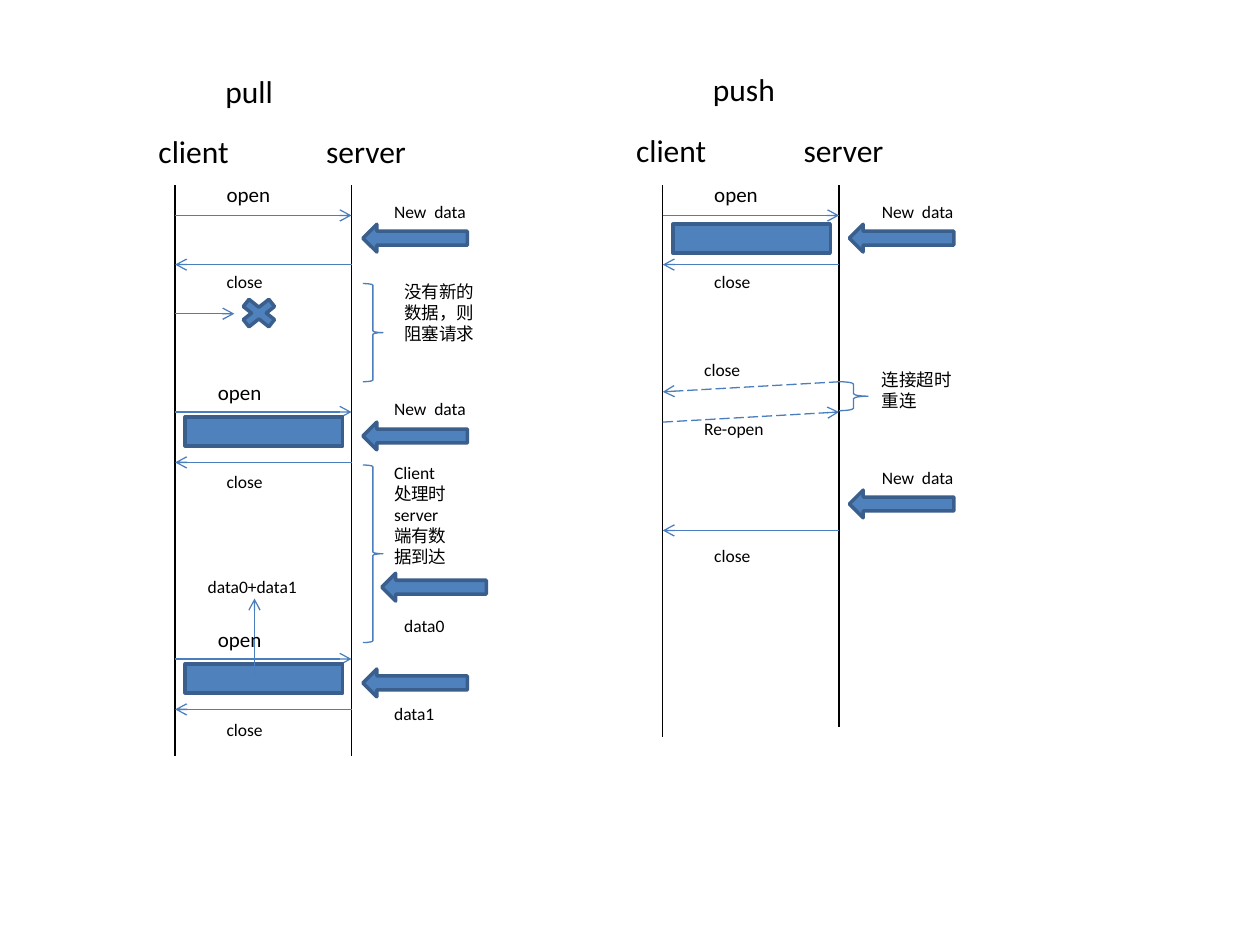
import pptx
import pptx.util
import pptx.dml.color
import pptx.oxml
import pptx.oxml.ns
from pptx.enum.dml import MSO_LINE
from pptx.enum.shapes import MSO_CONNECTOR, MSO_SHAPE
from pptx.enum.text import MSO_AUTO_SIZE, PP_ALIGN

Inches = pptx.util.Inches
SPAN = 1.4
BLACK, BLUE, FILL, EDGE = "000000", "4B7EBC", "4F81BD", "3A5F8C"

PANELS = [
    {
        "left": 1.39,
        "ends": (6, 6),
        "calls": [1.71, 3.27, 5.23],
        "replies": [2.1, 3.67, 5.63],
        "dashed": [],
        "short": [(0, 2.49, 0.47, 2.49), (0.63, 5.38, 0.63, 4.75)],
        "bars": [3.31, 5.27],
        "data": [(1.49, 1.78), (1.49, 3.35), (1.64, 4.55), (1.49, 5.31)],
        "crosses": [(0.47, 2.33, 0.39, 0.31)],
        "braces": [(1.49, 2.25, 0.16, 0.78), (1.49, 3.69, 0.16, 1.41)],
        "texts": [
            ("pull", 18, 0.3, 0.52, 1.25, 0.4),
            ("client", 18, -0.23, 1, 0.86, 0.4),
            ("server", 18, 1.1, 1, 0.86, 0.4),
            ("open", 12, 0.31, 1.39, 0.78, 0.3),
            ("close", 10, 0.31, 2.1, 0.78, 0.27),
            ("open", 12, 0.24, 2.96, 0.78, 0.3),
            ("close", 10, 0.31, 3.69, 0.78, 0.27),
            ("open", 12, 0.24, 4.92, 0.78, 0.3),
            ("close", 10, 0.31, 5.66, 0.78, 0.27),
            ("New  data", 10, 1.64, 1.55, 0.78, 0.27),
            ("New  data", 10, 1.64, 3.11, 0.78, 0.27),
            ("没有新的数据，则阻塞请求", 10, 1.72, 2.18, 0.78, 0.61),
            ("Client处理时server端有数据到达", 10, 1.64, 3.62, 0.63, 0.94),
            ("data0", 10, 1.72, 4.83, 0.55, 0.27),
            ("data1", 10, 1.64, 5.53, 0.7, 0.27),
            ("data0+data1", 10, 0.16, 4.52, 1.02, 0.27),
        ],
    },
    {
        "left": 5.26,
        "ends": (5.85, 5.77),
        "calls": [1.71],
        "replies": [2.1, 4.21],
        "dashed": [(SPAN, 3.03, 0, 3.11), (0, 3.35, SPAN, 3.27)],
        "short": [],
        "bars": [1.78],
        "data": [(1.48, 1.78), (1.48, 3.89)],
        "crosses": [],
        "braces": [(SPAN, 3.03, 0.23, 0.23)],
        "texts": [
            ("push", 18, 0.3, 0.51, 1.25, 0.4),
            ("client", 18, -0.31, 0.99, 0.86, 0.4),
            ("server", 18, 1.02, 0.99, 0.86, 0.4),
            ("open", 12, 0.31, 1.39, 0.78, 0.3),
            ("close", 10, 0.31, 2.1, 0.55, 0.27),
            ("close", 10, 0.23, 2.8, 0.78, 0.27),
            ("Re-open", 10, 0.23, 3.27, 0.78, 0.27),
            ("close", 10, 0.31, 4.28, 0.78, 0.27),
            ("New  data", 10, 1.64, 1.55, 0.78, 0.27),
            ("New  data", 10, 1.64, 3.66, 0.78, 0.27),
            ("连接超时重连", 10, 1.64, 2.88, 0.86, 0.44),
        ],
    },
]

deck = pptx.Presentation()
deck.slide_width, deck.slide_height = Inches(10), Inches(7.5)
slide = deck.slides.add_slide(deck.slide_layouts[6])


def color(code):
    return pptx.dml.color.RGBColor.from_string(code)


def stroke(item, code, width):
    item.line.color.rgb = color(code)
    item.line.width = pptx.util.Pt(width)


def add_line(left, x1, y1, x2, y2, code=BLUE, head=True, dash=False):
    line = slide.shapes.add_connector(
        MSO_CONNECTOR.STRAIGHT,
        Inches(left + x1), Inches(y1), Inches(left + x2), Inches(y2))
    stroke(line, code, 0.75)
    if dash:
        line.line.dash_style = MSO_LINE.LONG_DASH
    props = line._element.spPr
    if head:
        tail = pptx.oxml.parse_xml(
            f'<a:tailEnd {pptx.oxml.ns.nsdecls("a")} type="arrow"/>')
        line.line._get_or_add_ln().append(tail)
    props.append(pptx.oxml.parse_xml(
        f'<a:effectLst {pptx.oxml.ns.nsdecls("a")}/>'))


def add_form(kind, left, x, y, w, h, turn=0, solid=True):
    form = slide.shapes.add_shape(
        kind, Inches(left + x), Inches(y), Inches(w), Inches(h))
    form.shadow.inherit = False
    form.rotation = turn
    if solid:
        form.fill.solid()
        form.fill.fore_color.rgb = color(FILL)
        stroke(form, EDGE, 2)
    else:
        form.fill.background()
        stroke(form, BLUE, 0.75)


def add_text(left, words, size, x, y, w, h):
    box = slide.shapes.add_textbox(
        Inches(left + x), Inches(y), Inches(w), Inches(h))
    frame = box.text_frame
    frame.word_wrap = True
    frame.auto_size = MSO_AUTO_SIZE.SHAPE_TO_FIT_TEXT
    frame.text = words
    frame.paragraphs[0].alignment = PP_ALIGN.LEFT
    font = frame.paragraphs[0].runs[0].font
    font.name, font.size = "Calibri", pptx.util.Pt(size)
    font.color.rgb = color(BLACK)


for panel in PANELS:
    left = panel["left"]
    for x, end in zip((0, SPAN), panel["ends"]):
        add_line(left, x, 1.47, x, end, BLACK, head=False)
    for y in panel["calls"]:
        add_line(left, 0, y, SPAN, y)
    for y in panel["replies"]:
        add_line(left, SPAN, y, 0, y)
    for ends in panel["dashed"]:
        add_line(left, *ends, dash=True)
    for y in panel["bars"]:
        add_form(MSO_SHAPE.RECTANGLE, left, 0.08, y, 1.25, 0.23)
    for ends in panel["short"]:
        add_line(left, *ends)
    for x, y in panel["data"]:
        add_form(MSO_SHAPE.RIGHT_ARROW, left, x, y, 0.83, 0.22, turn=180)
    for area in panel["crosses"]:
        add_form(MSO_SHAPE.MATH_MULTIPLY, left, *area)
    for area in panel["braces"]:
        add_form(MSO_SHAPE.RIGHT_BRACE, left, *area, solid=False)
    for label in panel["texts"]:
        add_text(left, *label)

deck.save("out.pptx")
